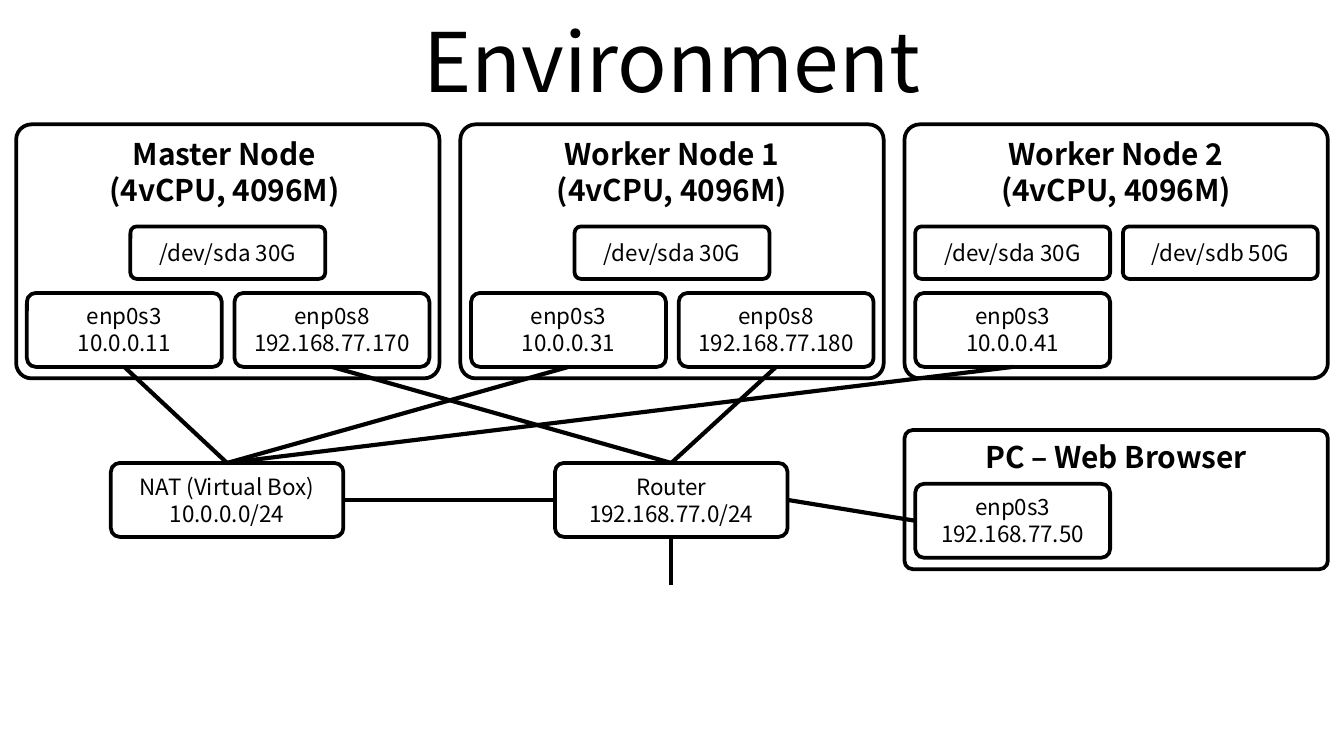
from lxml.etree import SubElement
from pptx import Presentation
from pptx.dml.color import RGBColor
from pptx.enum.shapes import MSO_CONNECTOR, MSO_SHAPE
from pptx.enum.text import MSO_ANCHOR, PP_ALIGN
from pptx.oxml.ns import qn
from pptx.util import Pt

PX = 4572  # EMU per px, 200 px to the inch
FONT = "Noto Sans CJK KR"
COLORS = {"ink": "000000"}
INK = RGBColor.from_string(COLORS["ink"])

NODE_W, NODE_H, NODE_PITCH = 630, 378, 661
PART_W, DISK_H, NIC_H = 290, 78, 110
PAD_X, PAD_BOTTOM, SLOT = 16, 17, 309
TOP, LEFT, BOTTOM, RIGHT = range(4)  # connection sites of a rounded box


def write(sp, lines, size, bold=False, anchor=MSO_ANCHOR.MIDDLE):
    tf = sp.text_frame
    tf.word_wrap = True
    tf.vertical_anchor = anchor
    tf.text = "\n".join(lines)
    for p in tf.paragraphs:
        p.alignment = PP_ALIGN.CENTER
        p.font.name, p.font.size, p.font.bold = FONT, Pt(size), bold
        p.font.color.rgb = INK


def add_title(s, x, y, w, h, text):
    sp = s.shapes.add_textbox(x * PX, y * PX, w * PX, h * PX)
    write(sp, [text], 44)


def add_box(s, x, y, w, h, rounding):
    sp = s.shapes.add_shape(MSO_SHAPE.ROUNDED_RECTANGLE,
                            x * PX, y * PX, w * PX, h * PX)
    sp.adjustments[0] = rounding
    sp.shadow.inherit = False
    sp.fill.background()
    sp.line.color.rgb = INK
    sp.line.width = Pt(2)
    return sp


def add_part(s, x, y, w, h, lines, anchor=MSO_ANCHOR.MIDDLE):
    sp = add_box(s, x, y, w, h, 0.12)
    write(sp, lines, 12, anchor=anchor)
    return sp


def add_machine(s, x, y, h, heading, nics, disks=()):
    """Draw a machine with its disks and interfaces; return the interfaces."""
    write(add_box(s, x, y, NODE_W, h, 0.06), heading, 16, True, MSO_ANCHOR.TOP)
    disk_x = x + (PAD_X if len(disks) > 1 else (NODE_W - PART_W) // 2)
    for i, disk in enumerate(disks):
        add_part(s, disk_x + i * SLOT, y + 152, PART_W, DISK_H, [disk])
    nic_y = y + h - PAD_BOTTOM - NIC_H
    return [add_part(s, x + PAD_X + i * SLOT, nic_y, PART_W, NIC_H, nic,
                     MSO_ANCHOR.TOP)
            for i, nic in enumerate(nics)]


def add_link(s, start, start_site, end=None, end_site=None, to=(0, 0)):
    """Join two boxes, or one box to a free point given in px."""
    line = s.shapes.add_connector(MSO_CONNECTOR.STRAIGHT, 0, 0,
                                  to[0] * PX, to[1] * PX)
    line.begin_connect(start, start_site)
    if end is not None:
        line.end_connect(end, end_site)
    line.line.color.rgb = INK
    line.line.width = Pt(2.25)
    SubElement(line._element.spPr, qn("a:effectLst"))


def main():
    prs = Presentation()
    prs.slide_width, prs.slide_height = 2000 * PX, 1125 * PX
    s = prs.slides.add_slide(prs.slide_layouts[6])

    add_title(s, 100, -5, 1800, 187, "Environment")

    nodes = [
        (["Master Node ", "(4vCPU, 4096M) "], ["/dev/sda 30G"],
         [("enp0s3", "10.0.0.11"), ("enp0s8", "192.168.77.170")]),
        (["Worker Node 1", "(4vCPU, 4096M)"], ["/dev/sda 30G"],
         [("enp0s3", "10.0.0.31"), ("enp0s8", "192.168.77.180")]),
        (["Worker Node 2", "(4vCPU, 4096M)"], ["/dev/sda 30G", "/dev/sdb 50G"],
         [("enp0s3", "10.0.0.41")]),
    ]
    node_nics = [add_machine(s, 24 + i * NODE_PITCH, 185, NODE_H,
                             heading, nics, disks)
                 for i, (heading, disks, nics) in enumerate(nodes)]
    pc_nics = add_machine(s, 24 + 2 * NODE_PITCH, 640, 207,
                          ["PC – Web Browser"], [("enp0s3", "192.168.77.50")])

    nat, router = [
        add_part(s, 165 + i * NODE_PITCH, 689, 346, NIC_H, lines)
        for i, lines in enumerate([("NAT (Virtual Box)", "10.0.0.0/24"),
                                   ("Router", "192.168.77.0/24")])]

    for nics in node_nics:
        for nic, network in zip(nics, (nat, router)):
            add_link(s, nic, BOTTOM, network, TOP)
    add_link(s, router, LEFT, nat, RIGHT)
    add_link(s, router, RIGHT, pc_nics[0], LEFT)
    add_link(s, router, BOTTOM, to=(999, 870))

    prs.save("out.pptx")


if __name__ == "__main__":
    main()
